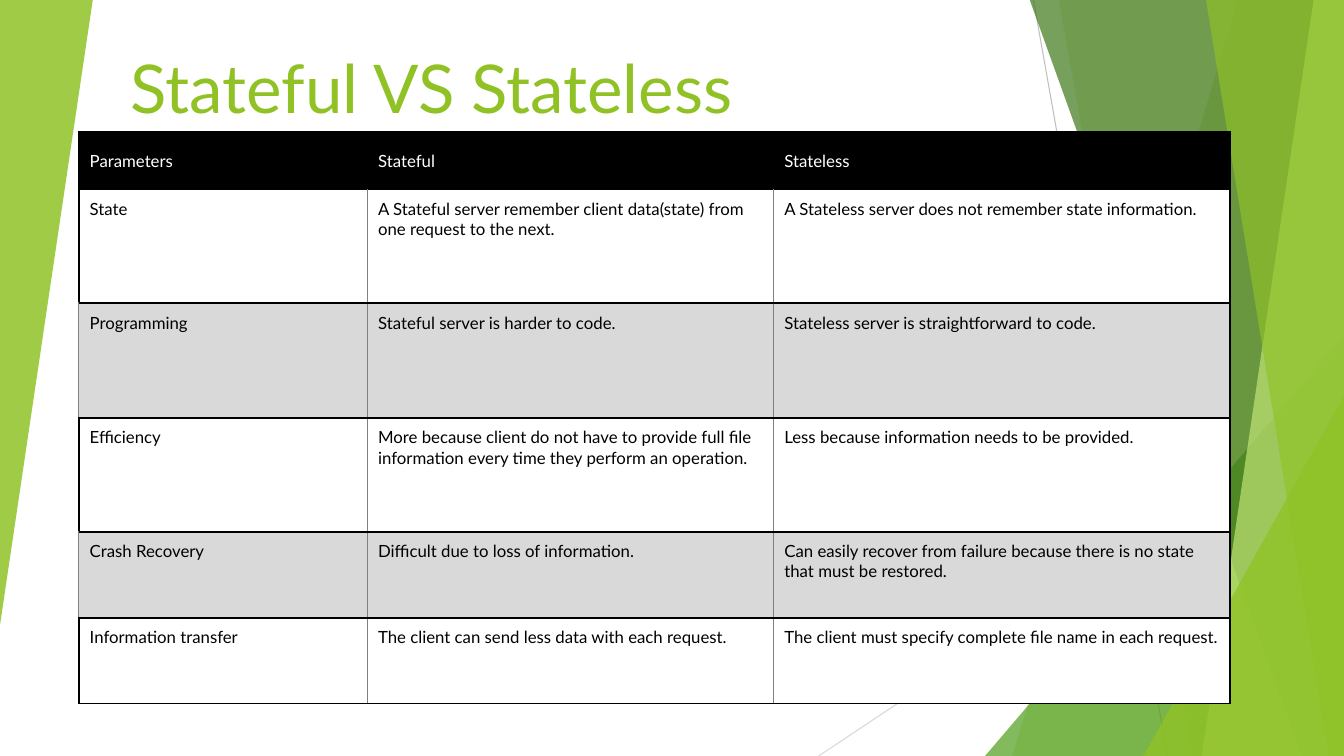
from lxml import etree
from pptx import Presentation
from pptx.dml.color import RGBColor
from pptx.enum.shapes import MSO_CONNECTOR, MSO_SHAPE
from pptx.enum.text import MSO_ANCHOR
from pptx.oxml.ns import qn
from pptx.util import Emu, Pt

STRAIGHT = MSO_CONNECTOR.STRAIGHT
TRIANGLE = MSO_SHAPE.ISOSCELES_TRIANGLE
TOP, MIDDLE, BOTTOM = MSO_ANCHOR.TOP, MSO_ANCHOR.MIDDLE, MSO_ANCHOR.BOTTOM

PX = 9144
WIDTH, HEIGHT = 1333, 750
FONT = "Lato"
COLORS = {
    "lime": "90C226", "green": "54A021", "forest": "3F7819", "pale": "C0E474",
    "black": "000000", "white": "FFFFFF", "band": "D9D9D9",
    "rule": "808080", "silver": "BFBFBF",
}

TITLE = "Stateful VS Stateless"
TITLE_BOX = (120, 12, 839, 119)
ROWS = [
    ("Parameters", "Stateful", "Stateless"),
    ("State",
     "A Stateful server remember client data(state) from one request to the next.",
     "A Stateless server does not remember state information."),
    ("Programming",
     "Stateful server is harder to code.",
     "Stateless server is straightforward to code."),
    ("Efficiency",
     "More because client do not have to provide full file information every time they perform an operation.",
     "Less because information needs to be provided."),
    ("Crash Recovery",
     "Difficult due to loss of information.",
     "Can easily recover from failure because there is no state that must be restored."),
    ("Information transfer",
     "The client can send less data with each request.",
     "The client must specify complete file name in each request."),
]
TABLE_LEFT, TABLE_TOP = 78, 131
COLUMN_WIDTHS = [286, 403, 453]
ROW_HEIGHTS = [57, 113, 114, 113, 85, 85]

LINES = [
    ((1025, 0), (1158, 750), "silver"),
    ((1333, 403), (812, 750), "band"),
]
FACETS = [
    ("blade", (1228, 1004), "lime", 30),
    ("blade", (1050, 1183), "lime", 20),
    ("triangle", (977, 333, 356, 417, 0), "green", 72),
    ("blade", (1021, 1291), "forest", 70),
    ("blade", (1303, 1192), "pale", 70),
    ("blade", (1196, 1318), "lime", 65),
    ("triangle", (1134, 393, 199, 357, 0), "lime", 80),
    ("triangle", (0, 0, 92, 620, 180), "lime", 85),
]


def px(*lengths):
    return [Emu(length * PX) for length in lengths]


def rgb(name):
    return RGBColor.from_string(COLORS[name])


def add_line(shapes, start, end, color):
    line = shapes.add_connector(STRAIGHT, *px(*start, *end))
    line.line.color.rgb = rgb(color)
    line.line.width = Pt(0.75)
    etree.SubElement(line._element.spPr, qn("a:effectLst"))


def add_facet(shapes, kind, geometry, color, opacity):
    if kind == "blade":
        top_x, bottom_x = geometry
        builder = shapes.build_freeform(top_x, -1, scale=PX)
        builder.add_line_segments([(WIDTH, -1), (WIDTH, HEIGHT), (bottom_x, HEIGHT)], close=True)
        facet = builder.convert_to_shape()
    else:
        *bounds, angle = geometry
        facet = shapes.add_shape(TRIANGLE, *px(*bounds))
        facet.adjustments[0] = 1.0
        facet.rotation = angle
    facet.shadow.inherit = False
    facet.line.fill.background()
    facet.fill.solid()
    facet.fill.fore_color.rgb = rgb(color)
    tint = facet._element.spPr.find(".//" + qn("a:srgbClr"))
    etree.SubElement(tint, qn("a:alpha"), val=str(opacity * 1000))


def write(frame, text, size, color):
    frame.text = text
    font = frame.paragraphs[0].runs[0].font
    font.name = FONT
    font.size = Pt(size)
    font.color.rgb = rgb(color)


def add_border(cell, side, color, width):
    border = etree.SubElement(cell._tc.get_or_add_tcPr(), qn("a:ln" + side), w=str(Pt(width)))
    fill = etree.SubElement(border, qn("a:solidFill"))
    etree.SubElement(fill, qn("a:srgbClr"), val=COLORS[color])


def style_cell(cell, row, column):
    header, band = row == 0, row in (2, 4)
    heavy = {"T", "B"}
    if header or column == len(COLUMN_WIDTHS) - 1:
        heavy.add("R")
    if header or (column == 0 and not band):
        heavy.add("L")
    for side in "LRTB":
        add_border(cell, side, *(("black", 1.5) if side in heavy else ("rule", 0.5)))
    cell.fill.solid()
    cell.fill.fore_color.rgb = rgb("black" if header else "band" if band else "white")
    cell.vertical_anchor = MIDDLE if header else TOP
    cell.margin_left, cell.margin_top, cell.margin_right, cell.margin_bottom = px(
        11, 9, 11 if header else 6, 9)


def add_comparison(shapes):
    frame = shapes.add_table(len(ROWS), len(COLUMN_WIDTHS), *px(
        TABLE_LEFT, TABLE_TOP, sum(COLUMN_WIDTHS), sum(ROW_HEIGHTS)))
    table = frame.table
    for column, width in zip(table.columns, px(*COLUMN_WIDTHS)):
        column.width = width
    for row, height in zip(table.rows, px(*ROW_HEIGHTS)):
        row.height = height
    for r, texts in enumerate(ROWS):
        for c, text in enumerate(texts):
            cell = table.cell(r, c)
            style_cell(cell, r, c)
            write(cell.text_frame, text, 12, "black" if r else "white")


def main():
    deck = Presentation()
    deck.slide_width, deck.slide_height = px(WIDTH, HEIGHT)
    page = deck.slides.add_slide(deck.slide_layouts[6])
    for line in LINES:
        add_line(page.shapes, *line)
    for facet in FACETS:
        add_facet(page.shapes, *facet)
    title = page.shapes.add_textbox(*px(*TITLE_BOX)).text_frame
    title.word_wrap = True
    title.vertical_anchor = BOTTOM
    write(title, TITLE, 48, "lime")
    add_comparison(page.shapes)
    deck.save("out.pptx")


if __name__ == "__main__":
    main()
